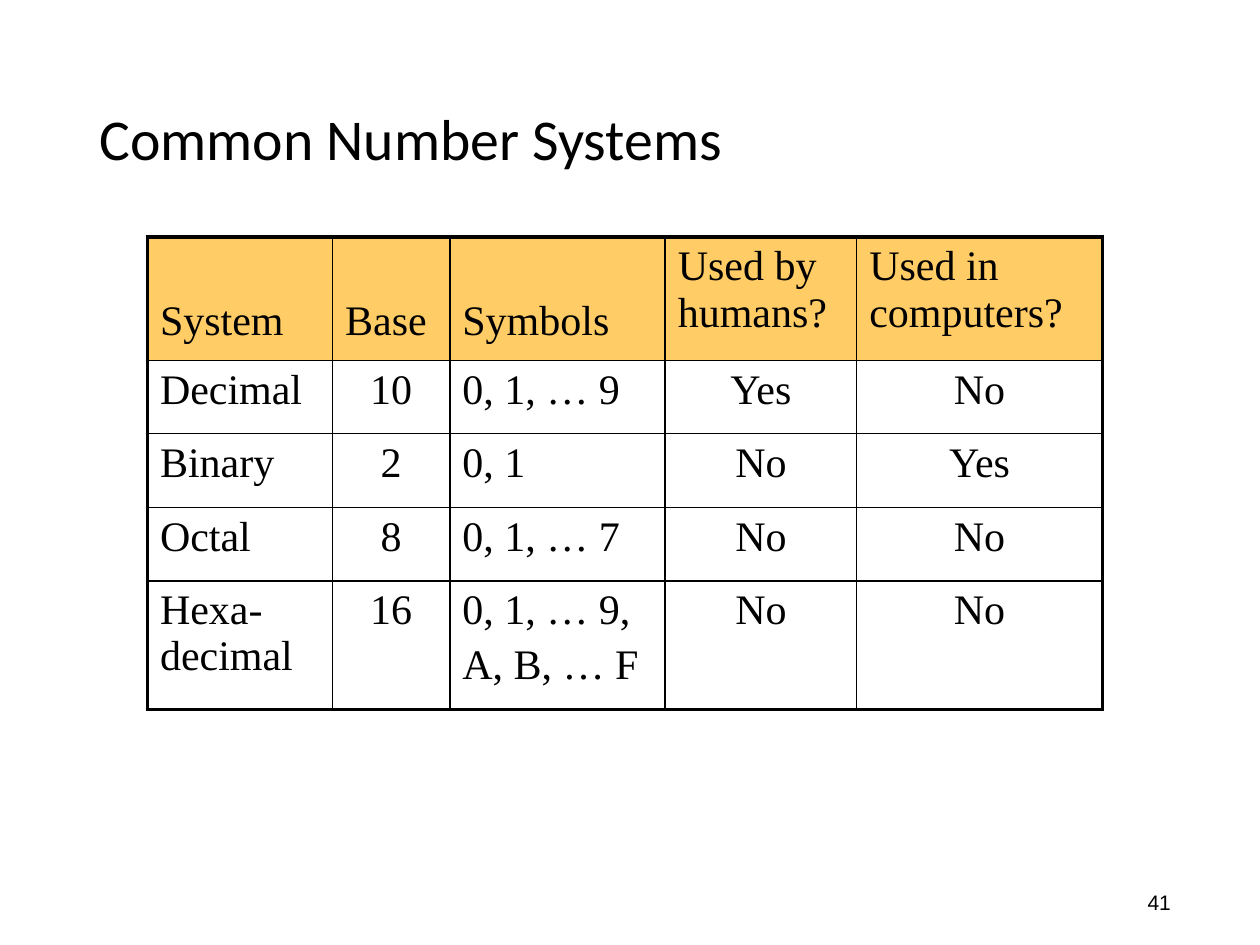
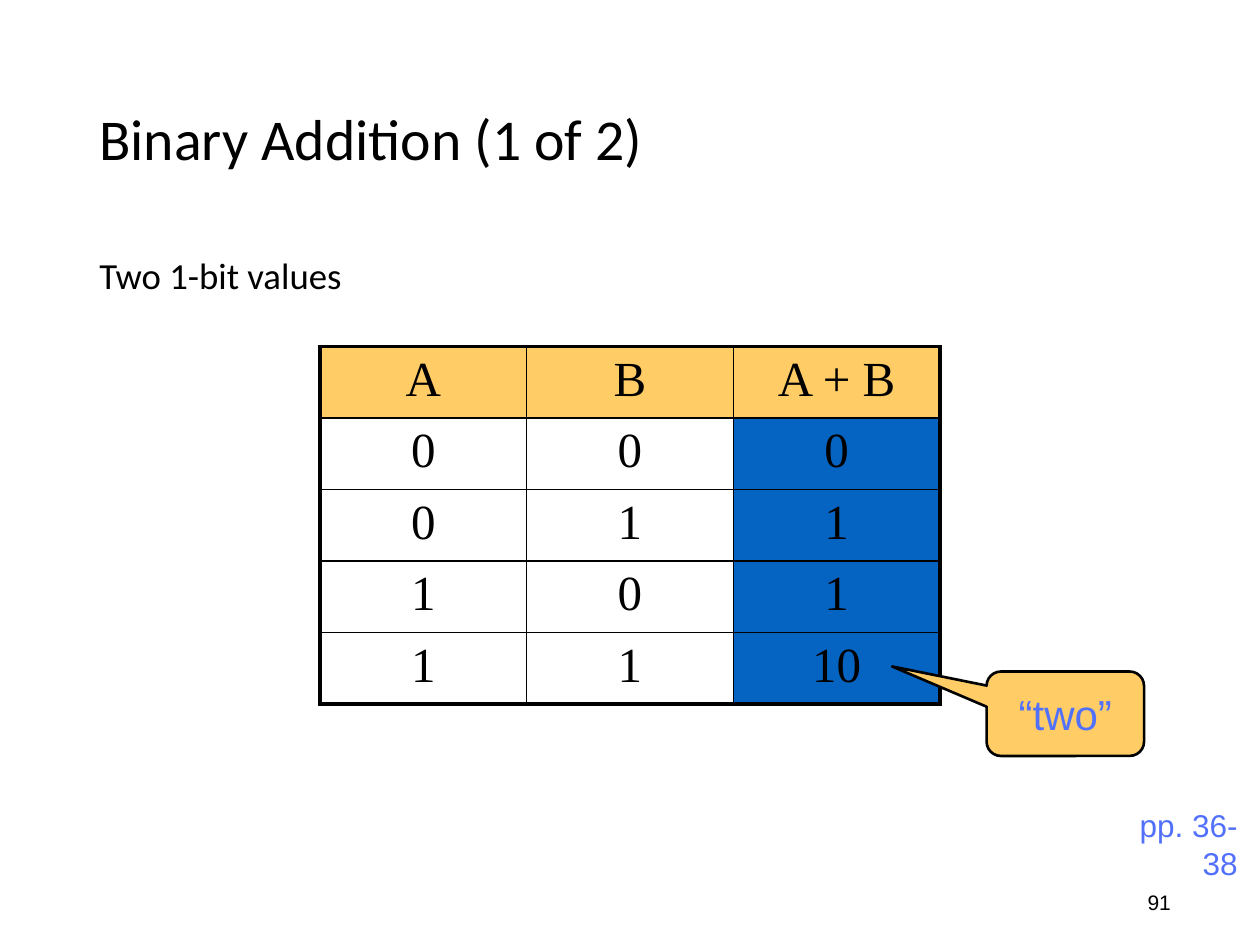
from lxml import etree
from pptx import Presentation
from pptx.dml.color import RGBColor
from pptx.enum import shapes, text
from pptx.oxml.ns import qn
from pptx.util import Inches, Pt

COLORS = {"ink": "000000", "header": "FFCC66", "result": "0563C1", "note": "5271FB"}
LEFT, CENTER, RIGHT = text.PP_ALIGN.LEFT, text.PP_ALIGN.CENTER, text.PP_ALIGN.RIGHT

STYLES = {
    "title": {"font": {"name": "Calibri", "size": Pt(33)}, "color": "ink",
              "paragraph": {"alignment": LEFT, "line_spacing": 0.9},
              "frame": {"vertical_anchor": text.MSO_ANCHOR.MIDDLE, "word_wrap": True}},
    "body": {"font": {"name": "Calibri", "size": Pt(21)}, "color": "ink",
             "paragraph": {"alignment": LEFT, "line_spacing": 0.9},
             "frame": {"word_wrap": True}},
    "number": {"font": {"name": "Arial", "size": Pt(12)}, "color": "ink",
               "paragraph": {"alignment": LEFT}, "frame": {"word_wrap": False}},
    "pages": {"font": {"name": "Arial", "size": Pt(18)}, "color": "note",
              "paragraph": {"alignment": RIGHT}, "frame": {"word_wrap": True}},
    "callout": {"font": {"name": "Arial", "size": Pt(24)}, "color": "note",
                "paragraph": {"alignment": CENTER},
                "frame": {"vertical_anchor": text.MSO_ANCHOR.MIDDLE, "word_wrap": True}},
    "cell": {"font": {"name": "Times New Roman"}, "color": "ink",
             "paragraph": {}, "frame": {}},
}


def write(frame, words, style_name, **paragraph_values):
    """Fill a text frame in a named style; each line of words is a paragraph."""
    style = STYLES[style_name]
    frame.text = words
    for name, value in style["frame"].items():
        setattr(frame, name, value)
    for paragraph in frame.paragraphs:
        for name, value in {**style["paragraph"], **paragraph_values}.items():
            setattr(paragraph, name, value)
        for name, value in style["font"].items():
            setattr(paragraph.font, name, value)
        paragraph.font.color.rgb = RGBColor.from_string(COLORS[style["color"]])


def add_grid(slide, left, top, widths, heights, rows, size, centered, result=None):
    """Add a table with a heavy outer frame, a header row and a result column."""
    frame = slide.shapes.add_table(len(rows), len(widths), Inches(left), Inches(top),
                                   Inches(sum(widths)), Inches(sum(heights)))
    table = frame.table
    table.first_row = table.horz_banding = False
    for column, width in zip(table.columns, widths):
        column.width = Inches(width)
    for row, height in zip(table.rows, heights):
        row.height = Inches(height)
    last_row, last_column = len(rows) - 1, len(widths) - 1
    for r, values in enumerate(rows):
        for c, value in enumerate(values):
            cell = table.cell(r, c)
            write(cell.text_frame, value, "cell",
                  alignment=CENTER if (r > 0 or result) and c in centered else LEFT)
            for index, paragraph in enumerate(cell.text_frame.paragraphs):
                paragraph.font.size = Pt(size)
                if index:
                    paragraph.space_before = Pt(size * 0.2)
            outer = {"lnL": c == 0, "lnR": c == last_column,
                     "lnT": r == 0, "lnB": r == last_row}
            properties = cell._tc.get_or_add_tcPr()
            for side, heavy in outer.items():
                line = etree.SubElement(properties, qn(f"a:{side}"),
                                        w=str(Pt(2.25 if heavy else 1)))
                fill = etree.SubElement(line, qn("a:solidFill"))
                etree.SubElement(fill, qn("a:srgbClr"), val=COLORS["ink"])
            color = "header" if r == 0 else "result" if c == result else None
            if color:
                cell.fill.solid()
                cell.fill.fore_color.rgb = RGBColor.from_string(COLORS[color])
            else:
                cell.fill.background()
    return table


presentation = Presentation()
presentation.slide_width, presentation.slide_height = Inches(10), Inches(7.5)

# Titles and slide numbers
slides = []
for title, number in [("Common Number Systems", "41"), ("Binary Addition (1 of 2)", "91")]:
    slide = presentation.slides.add_slide(presentation.slide_layouts[6])
    for words, style_name, box in [(number, "number", (9.01, 7.01, 0.4, 0.3)),
                                   (title, "title", (0.69, 0.4, 8.62, 1.45))]:
        shape = slide.shapes.add_textbox(*map(Inches, box))
        write(shape.text_frame, words, style_name)
    slides.append(slide)
systems_slide, addition_slide = slides

# Number systems
systems = [
    ["System", "Base", "Symbols", "Used by humans?", "Used in computers?"],
    ["Decimal", "10", "0, 1, … 9", "Yes", "No"],
    ["Binary", "2", "0, 1", "No", "Yes"],
    ["Octal", "8", "0, 1, … 7", "No", "No"],
    ["Hexa-\vdecimal", "16", "0, 1, … 9,\nA, B, … F", "No", "No"],
]
systems_table = add_grid(systems_slide, 1.17, 1.88, [1.47, 0.93, 1.71, 1.52, 1.95],
                         [0.98, 0.58, 0.59, 0.58, 1.02], systems, 24, centered={1, 3, 4})
for column in range(3):  # one-line headings sit one line lower
    systems_table.cell(0, column).margin_top = Inches(0.49)

# Binary addition
shape = addition_slide.shapes.add_textbox(*map(Inches, (0.69, 2, 8.62, 4.76)))
shape.text_frame.text = "Two 1-bit values"
properties = shape.text_frame.paragraphs[0]._p.get_or_add_pPr()
properties.set("marL", str(Inches(0.19)))
properties.set("indent", str(-Inches(0.19)))
etree.SubElement(properties, qn("a:buFont"), typeface="Arial")
etree.SubElement(properties, qn("a:buChar"), char="•")
write(shape.text_frame, "Two 1-bit values", "body")

shape = addition_slide.shapes.add_textbox(*map(Inches, (8.75, 6.35, 1.17, 0.4)))
write(shape.text_frame, "pp. 36-38", "pages")

sums = [["A", "B", "A + B"]]
sums += [[str(a), str(b), f"{a + b:b}"] for a in (0, 1) for b in (0, 1)]
add_grid(addition_slide, 2.54, 2.75, [1.64] * 3, [2.83 / 5] * 5, sums, 28,
         centered={0, 1, 2}, result=2)

callout = addition_slide.shapes.add_shape(
    shapes.MSO_SHAPE.ROUNDED_RECTANGULAR_CALLOUT, *map(Inches, (7.83, 5.33, 1.25, 0.67)))
for index, value in enumerate((-1.1, -0.56, 0.17)):
    callout.adjustments[index] = value
callout.shadow.inherit = False
callout.fill.solid()
callout.fill.fore_color.rgb = RGBColor.from_string(COLORS["header"])
callout.line.color.rgb = RGBColor.from_string(COLORS["ink"])
callout.line.width = Pt(1.5)
write(callout.text_frame, "“two”", "callout")

presentation.save("out.pptx")
